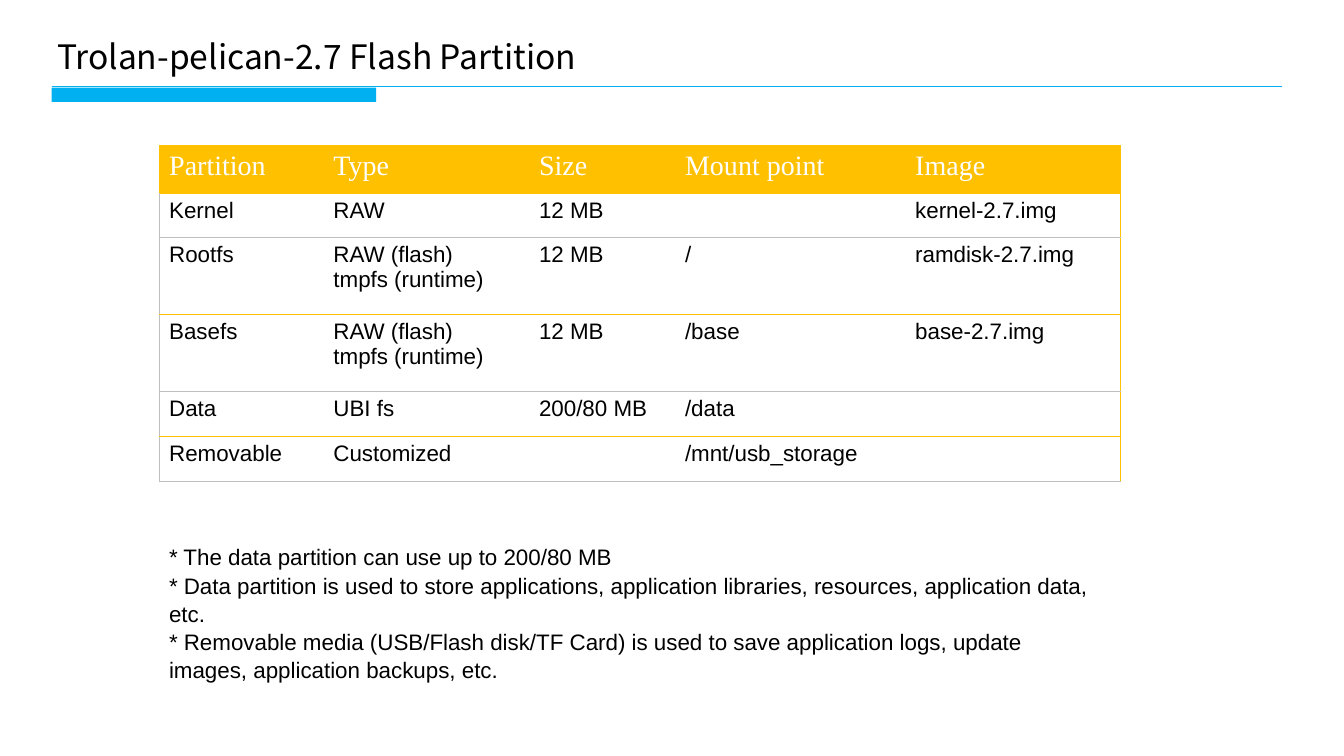
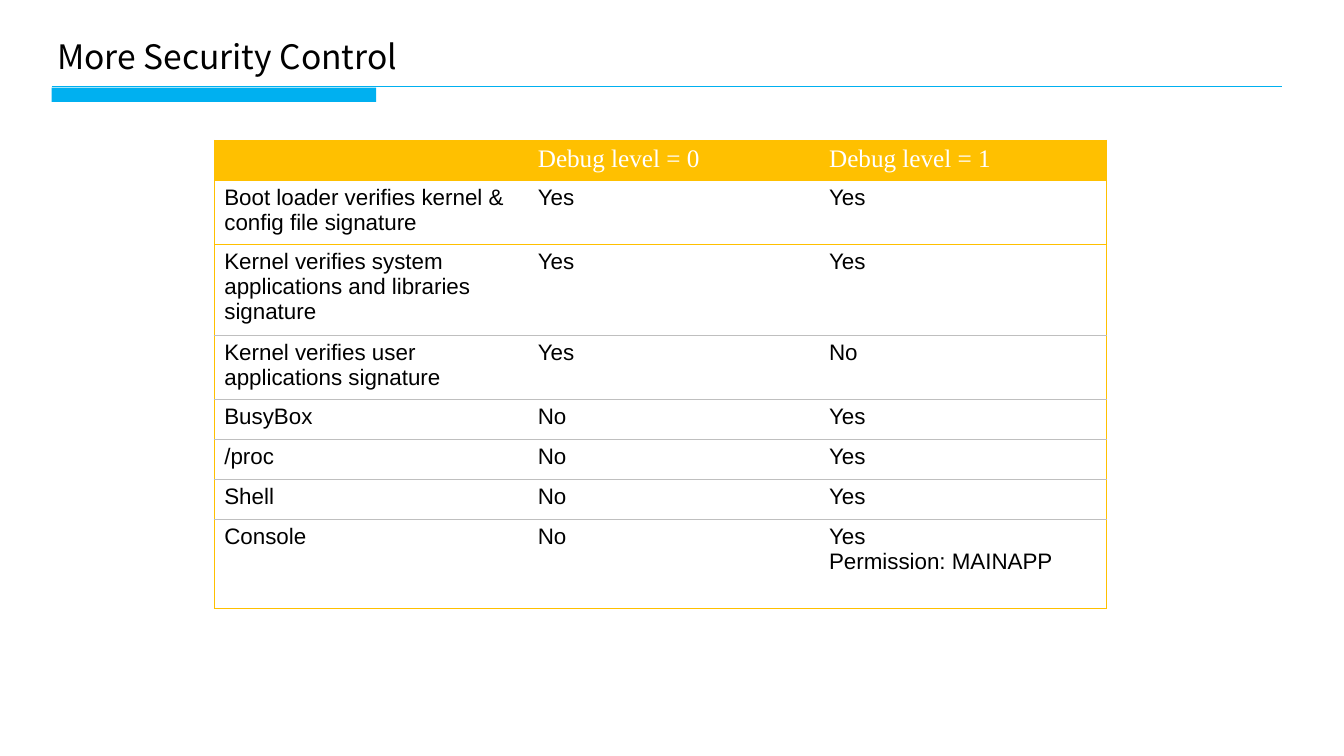
from lxml import etree
from pptx import Presentation
from pptx import util as u
from pptx.dml import color
from pptx.enum import shapes, text
from pptx.oxml import ns

BLUE = "00B0F0"
GOLD = "FFC000"
GREY = "BFBFBF"
WHITE = "FFFFFF"
BLACK = "000000"
TITLE_STYLE = ("Noto Sans CJK SC", 24, BLACK)
BODY_STYLE = ("Arial", 16, BLACK)

PARTITIONS = [
    ["Partition", "Type", "Size", "Mount point", "Image"],
    ["Kernel", "RAW", "12 MB", "", "kernel-2.7.img"],
    ["Rootfs", "RAW (flash)\ntmpfs (runtime)", "12 MB", "/", "ramdisk-2.7.img"],
    ["Basefs", "RAW (flash)\ntmpfs (runtime)", "12 MB", "/base", "base-2.7.img"],
    ["Data", "UBI fs", "200/80 MB", "/data", ""],
    ["Removable", "Customized", "", "/mnt/usb_storage", ""],
]
PARTITION_NOTES = """* The data partition can use up to 200/80 MB
* Data partition is used to store applications, application libraries, resources, application data, etc.
* Removable media (USB/Flash disk/TF Card) is used to save application logs, update images, application backups, etc."""
SECURITY = [
    ["", "Debug level = 0", "Debug level = 1"],
    ["Boot loader verifies kernel & config file signature", "Yes", "Yes"],
    ["Kernel verifies system applications and libraries signature", "Yes", "Yes"],
    ["Kernel verifies user applications signature", "Yes", "No"],
    ["BusyBox", "No", "Yes"],
    ["/proc", "No", "Yes"],
    ["Shell", "No", "Yes"],
    ["Console", "No", "Yes\nPermission: MAINAPP"],
]


def rgb(value):
    return color.RGBColor.from_string(value)


def write(frame, content, style, spacing=None):
    name, size, tone = style
    for index, line in enumerate(content.split("\n")):
        paragraph = frame.add_paragraph() if index else frame.paragraphs[0]
        if spacing:
            paragraph.line_spacing = spacing
        if line:
            run = paragraph.add_run()
            run.text = line
            run.font.name = name
            run.font.size = u.Pt(size)
            run.font.color.rgb = rgb(tone)


def add_text(slide, box, content, style, spacing=None, anchor=text.MSO_ANCHOR.TOP):
    frame = slide.shapes.add_textbox(*map(u.Cm, box)).text_frame
    frame.word_wrap = True
    frame.vertical_anchor = anchor
    write(frame, content, style, spacing)


def add_header(slide, title, left=1.3, top=2.18, width=31.01):
    add_text(slide, (left - 0.11, top - 1.39, 17.4, 1.27), title, TITLE_STYLE,
             anchor=text.MSO_ANCHOR.MIDDLE)
    rule = slide.shapes.add_connector(shapes.MSO_CONNECTOR.STRAIGHT, u.Cm(left), u.Cm(top),
                                      u.Cm(left + width), u.Cm(top))
    rule.line.color.rgb = rgb(BLUE)
    rule.line.width = u.Pt(1)
    etree.SubElement(rule._element.spPr, ns.qn("a:effectLst"))
    bar = slide.shapes.add_shape(shapes.MSO_SHAPE.RECTANGLE, u.Cm(left), u.Cm(top + 0.03),
                                 u.Cm(8.18), u.Cm(0.36))
    bar.shadow.inherit = False
    bar.fill.solid()
    bar.fill.fore_color.rgb = rgb(BLUE)
    bar.line.fill.background()


def set_borders(cell, tones):
    properties = cell._tc.get_or_add_tcPr()
    for side, tone in zip("LRTB", tones):
        line = etree.SubElement(properties, ns.qn("a:ln" + side), w=str(u.Pt(0.5)))
        if tone:
            fill = etree.SubElement(line, ns.qn("a:solidFill"))
            etree.SubElement(fill, ns.qn("a:srgbClr"), val=tone)
        else:
            etree.SubElement(line, ns.qn("a:noFill"))


def add_grid(slide, left, top, widths, heights, rows, header_size, left_tone, rules):
    frame = slide.shapes.add_table(len(rows), len(widths), u.Cm(left), u.Cm(top),
                                   u.Cm(sum(widths)), u.Cm(sum(heights)))
    table = frame.table
    table.horz_banding = False
    table.first_row = False
    for column, width in zip(table.columns, widths):
        column.width = u.Cm(width)
    for row, height in zip(table.rows, heights):
        row.height = u.Cm(height)
    header_style = ("Times New Roman", header_size, WHITE)
    edges = [GOLD, GOLD, *rules]
    for row_index, row in enumerate(rows):
        is_header = row_index == 0
        for column_index, content in enumerate(row):
            cell = table.cell(row_index, column_index)
            start = (GOLD if is_header else left_tone) if column_index == 0 else None
            end = GOLD if column_index == len(row) - 1 else None
            set_borders(cell, (start, end, edges[row_index], edges[row_index + 1]))
            cell.fill.solid()
            cell.fill.fore_color.rgb = rgb(GOLD if is_header else WHITE)
            write(cell.text_frame, content, header_style if is_header else BODY_STYLE)


def build_partition_slide(slide):
    add_header(slide, "Trolan-pelican-2.7 Flash Partition")
    add_grid(slide, 4.01, 3.66, [4.14, 5.18, 3.68, 5.8, 5.43],
             [1.2, 1.12, 1.94, 1.94, 1.13, 1.13], PARTITIONS, 20, GREY,
             [GREY, GOLD, GREY, GOLD, GREY])
    add_text(slide, (4.01, 13.54, 23.75, 3.68), PARTITION_NOTES, BODY_STYLE, spacing=1.05)


def build_security_slide(slide):
    add_header(slide, "More Security Control")
    add_grid(slide, 5.4, 3.53, [7.9, 7.34, 7.24],
             [1.02, 1.61, 2.29, 1.61, 1.01, 1.01, 1.01, 2.23], SECURITY, 18, GOLD,
             [GOLD] + [GREY] * 5 + [GOLD])


def main():
    presentation = Presentation()
    presentation.slide_width = u.Cm(33.87)
    presentation.slide_height = u.Cm(19.05)
    for build in (build_partition_slide, build_security_slide):
        build(presentation.slides.add_slide(presentation.slide_layouts[6]))
    presentation.save("out.pptx")


if __name__ == "__main__":
    main()
